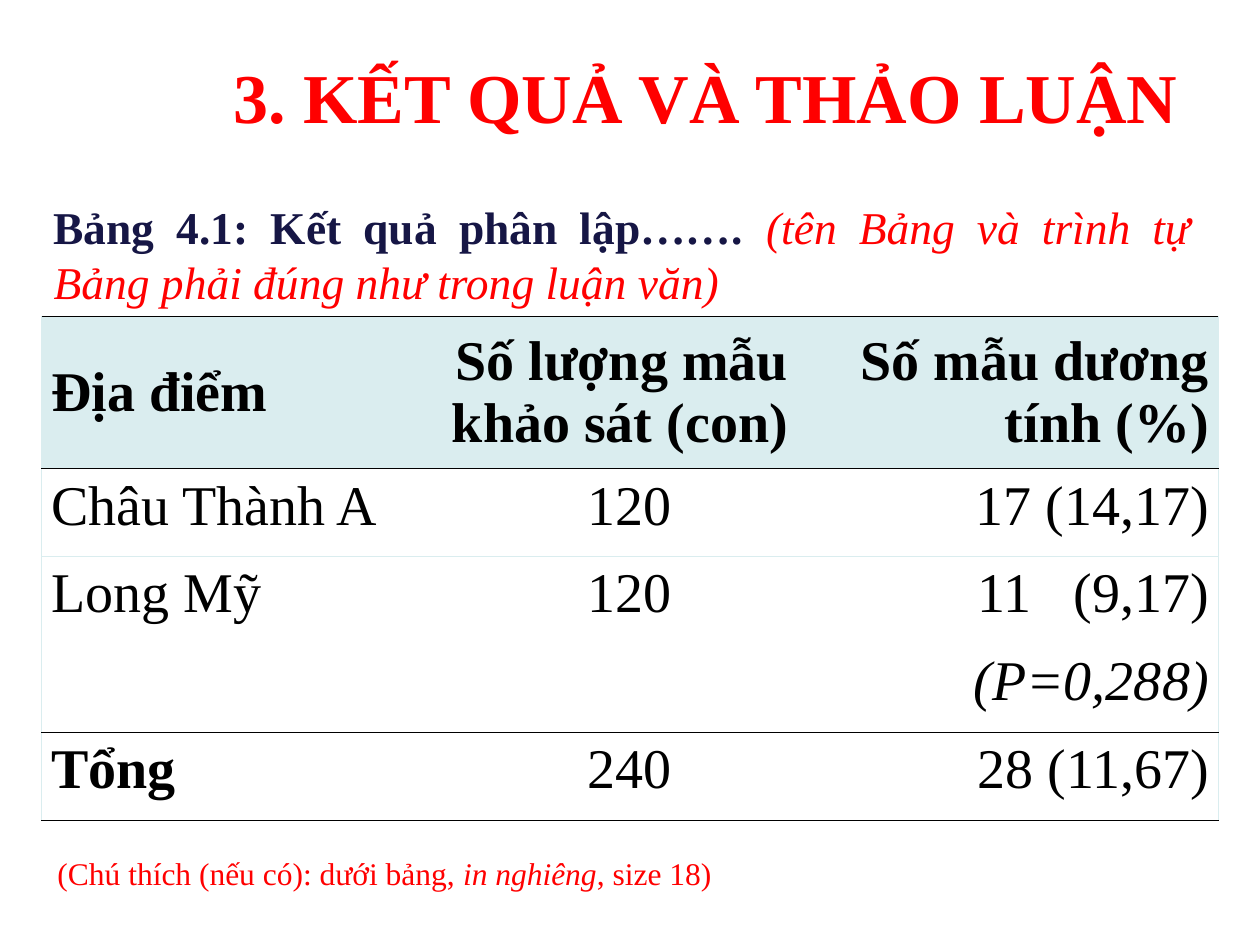
from lxml import etree
from pptx import Presentation
from pptx import util as u
from pptx.dml.color import RGBColor
from pptx.enum import text
from pptx.oxml.ns import qn

FONT = "Times New Roman"
RED, NAVY, BLACK, WHITE, PALE = "FF0000", "161645", "000000", "FFFFFF", "DAEDEF"
LEFT, CENTER, RIGHT, JUSTIFY = (
    text.PP_ALIGN.LEFT, text.PP_ALIGN.CENTER, text.PP_ALIGN.RIGHT, text.PP_ALIGN.JUSTIFY)
RULE, HAIRLINE = (BLACK, 0.45), (PALE, 0.23)

ROWS = [
    ("Địa điểm", "Số lượng mẫu khảo sát (con)", "Số mẫu dương tính (%)"),
    ("Châu Thành A", "120", "17 (14,17)"),
    ("Long Mỹ", "120", "11   (9,17)"),
    ("", "", "(P=0,288)"),
    ("Tổng", "240", "28 (11,67)"),
]
COL_WIDTHS = (7.44, 7.8, 8.48)
ROW_HEIGHTS = (3.07, 1.77, 1.77, 1.77, 1.77)
# Horizontal lines from the top of the table to its bottom
H_LINES = (RULE, RULE, HAIRLINE, None, RULE, RULE)
V_LINES = (HAIRLINE, None, None, HAIRLINE)


def rgb(value):
    return RGBColor.from_string(value)


def add_run(p, words, size=32, color=BLACK, bold=False, italic=False):
    r = p.add_run()
    r.text = words
    f = r.font
    f.name, f.size, f.bold, f.italic = FONT, u.Pt(size), bold, italic
    f.color.rgb = rgb(color)


def fill_text(sp, runs, align=LEFT, wrap=True):
    """Write (words, format) pairs as one paragraph of a shape."""
    tf = sp.text_frame
    tf.word_wrap = wrap
    tf.auto_size = text.MSO_AUTO_SIZE.SHAPE_TO_FIT_TEXT
    p = tf.paragraphs[0]
    p.alignment = align
    for words, fmt in runs:
        add_run(p, words, **fmt)


def add_text(s, box, runs, **kwargs):
    fill_text(s.shapes.add_textbox(*map(u.Cm, box)), runs, **kwargs)


def set_borders(cell, **sides):
    tc_pr = cell._tc.get_or_add_tcPr()
    for i, side in enumerate("LRTB"):
        ln = etree.Element(qn("a:ln" + side))
        tc_pr.insert(i, ln)
        if sides[side] is None:
            etree.SubElement(ln, qn("a:noFill"))
            continue
        color, width = sides[side]
        ln.set("w", str(int(u.Pt(width))))
        fill = etree.SubElement(ln, qn("a:solidFill"))
        etree.SubElement(fill, qn("a:srgbClr"), val=color)


def format_cell(cell, words, row, col):
    header = row == 0
    cell.fill.solid()
    cell.fill.fore_color.rgb = rgb(PALE if header else WHITE)
    set_borders(cell, L=V_LINES[col], R=V_LINES[col + 1],
                T=H_LINES[row], B=H_LINES[row + 1])
    cell.margin_left = cell.margin_right = u.Cm(0.19)
    if col == 1 and not header:
        cell.margin_right = u.Cm(2.54)
    cell.vertical_anchor = text.MSO_ANCHOR.MIDDLE if header else text.MSO_ANCHOR.TOP
    p = cell.text_frame.paragraphs[0]
    p.alignment = RIGHT if col else LEFT
    if words:
        add_run(p, words, bold=header or words == "Tổng", italic=words.startswith("(P"))


def add_results_table(s, left, top):
    frame = s.shapes.add_table(len(ROWS), len(COL_WIDTHS), u.Cm(left), u.Cm(top),
                               u.Cm(sum(COL_WIDTHS)), u.Cm(sum(ROW_HEIGHTS)))
    table = frame.table
    table.first_row = table.horz_banding = False
    for column, width in zip(table.columns, COL_WIDTHS):
        column.width = u.Cm(width)
    for i, height in enumerate(ROW_HEIGHTS):
        table.rows[i].height = u.Cm(height)
        for j, words in enumerate(ROWS[i]):
            format_cell(table.cell(i, j), words, i, j)


def set_title(s, box, words):
    sp = s.shapes.title
    sp.left, sp.top, sp.width, sp.height = map(u.Cm, box)
    fill_text(sp, [(words, dict(size=40, color=RED, bold=True))], align=CENTER, wrap=False)


def main():
    prs = Presentation()
    prs.slide_width, prs.slide_height = u.Cm(25.4), u.Cm(19.05)
    s = prs.slides.add_slide(prs.slide_layouts[5])

    set_title(s, (4.42, 0.94, 19.61, 1.96), "3. KẾT QUẢ VÀ THẢO LUẬN")

    # Table caption
    add_text(s, (0.83, 3.89, 23.42, 2.46), [
        ("Bảng 4.1: Kết quả phân lập……. ", dict(size=26, color=NAVY, bold=True)),
        ("(tên Bảng và trình tự Bảng phải đúng như trong luận văn)",
         dict(size=26, color=RED, italic=True)),
    ], align=JUSTIFY)

    add_results_table(s, 0.84, 6.38)

    # Note under the table
    note = dict(size=18, color=RED)
    add_text(s, (0.91, 17.09, 13.69, 1.02), [
        ("(Chú thích (nếu có): dưới bảng, ", note),
        ("in nghiêng", dict(note, italic=True)),
        (", size 18)", note),
    ], wrap=False)

    prs.save("out.pptx")


if __name__ == "__main__":
    main()
